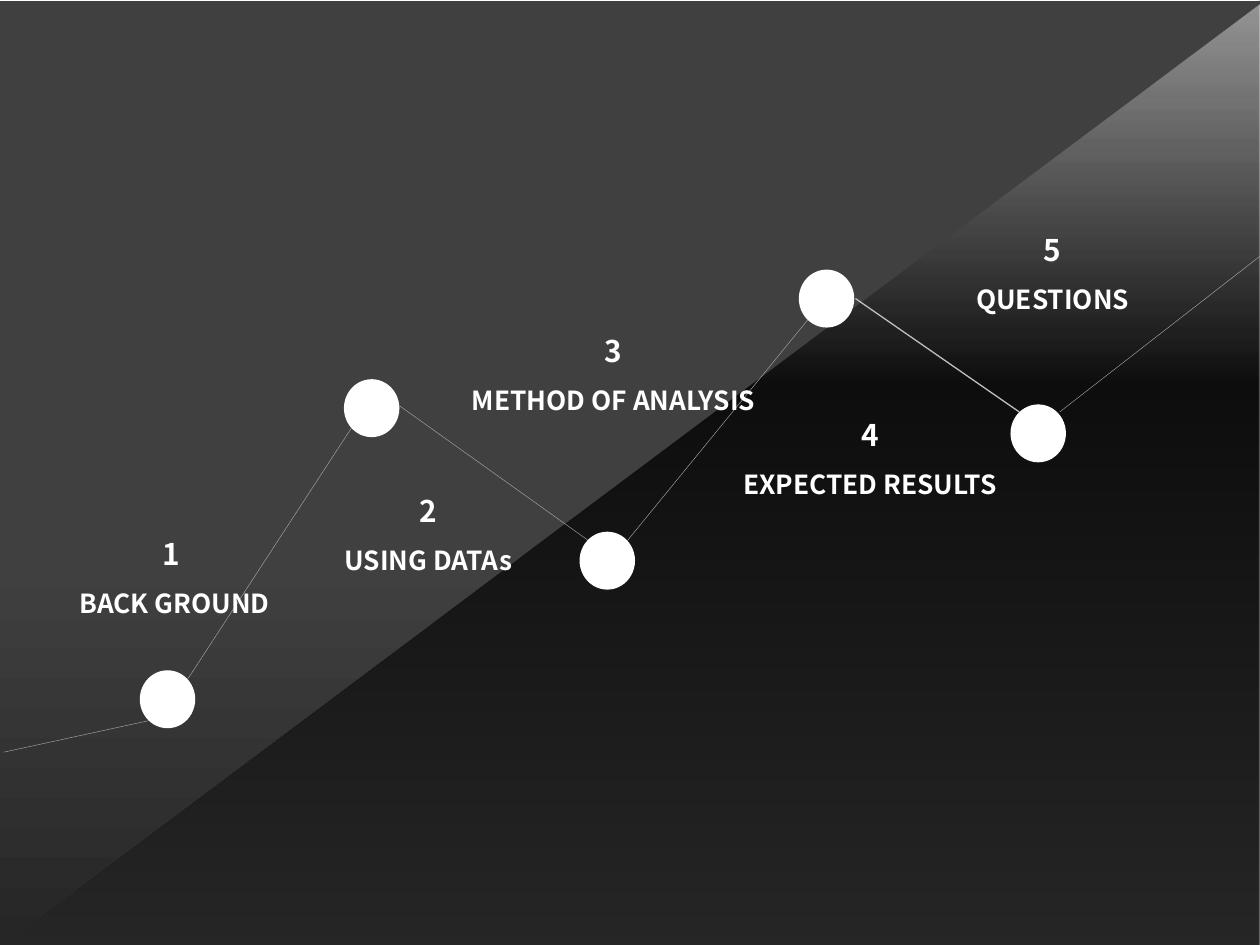
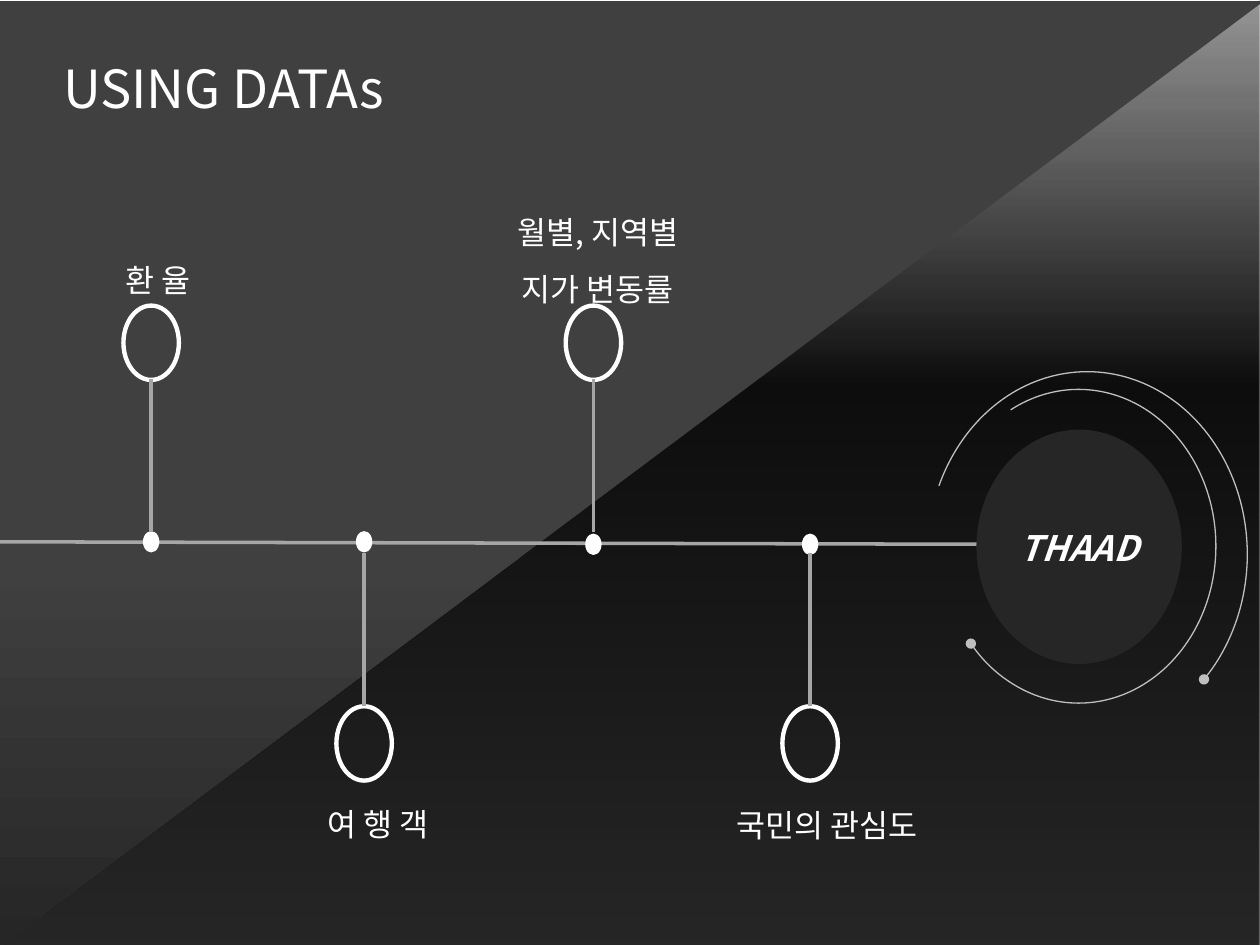
"""Build an agenda path slide and a data timeline slide on a shared diagonal backdrop."""
from copy import deepcopy
from dataclasses import dataclass

from lxml.etree import SubElement
from pptx import Presentation
from pptx.dml.color import RGBColor
from pptx.enum.shapes import MSO_CONNECTOR, MSO_SHAPE
from pptx.enum.text import MSO_ANCHOR, MSO_AUTO_SIZE, PP_ALIGN
from pptx.oxml.ns import qn
from pptx.util import Inches, Pt


@dataclass(frozen=True)
class Theme:
    font: str = "Noto Sans CJK KR"
    white: str = "FFFFFF"
    line: str = "A6A6A6"
    bright_line: str = "BFBFBF"
    charcoal: str = "262626"
    slate: str = "404040"
    black: str = "0D0D0D"
    title: int = 30
    topic: int = 20
    label: int = 18
    number: int = 17
    heading: int = 15


THEME = Theme()

BACKDROP = [
    ((1.24, -1.26, 7.5, 10.03), 270,
     [(0, THEME.charcoal, 100), (59, THEME.black, 100), (100, THEME.black, 43)]),
    ((1.26, -1.26, 7.51, 10.04), 90,
     [(0, THEME.slate, 100), (59, THEME.slate, 100), (100, THEME.charcoal, 100)]),
]

AGENDA = [
    ("1 ", "BACK GROUND", (0.22, 4.06, 2.23, 0.91)),
    ("2", "USING DATAs", (2.33, 3.72, 2.04, 0.86)),
    ("3", "METHOD OF ANALYSIS", (3.49, 2.45, 2.66, 1.29)),
    ("4", "EXPECTED RESULTS", (5.54, 3.12, 2.63, 1.29)),
    ("5", "QUESTIONS", (7.39, 1.65, 1.83, 0.91)),
]
PATH_NODES = [(1.33, 5.55), (2.95, 3.24), (4.82, 4.45), (6.56, 2.37), (8.24, 3.44)]
NODE_SIZE = (0.44, 0.46)
PATH_LINES = [
    ((0.03, 5.97), (1.18, 5.72), THEME.line, 0.25),
    ((1.49, 5.39), (2.8, 3.38), THEME.line, 0.25),
    ((3.17, 3.22), (4.67, 4.29), THEME.line, 0.25),
    ((4.98, 4.29), (6.41, 2.54), THEME.line, 0.25),
    ((6.79, 2.37), (8.09, 3.27), THEME.bright_line, 0.75),
    ((8.41, 3.27), (10.03, 2.01), THEME.line, 0.25),
]

DATA_TITLE = "USING DATAs"
DATA_TOPIC = "THAAD"
STATIONS = [
    (["환 율"], 1.2, 4.3, True, (0.7, 1.87, 1.01, 0.5)),
    (["여 행 객"], 2.89, 4.3, False, (2.24, 6.19, 1.42, 0.56)),
    (["월별, 지역별", "지가 변동률"], 4.71, 4.32, True, (3.74, 1.49, 1.91, 1.01)),
    (["국민의 관심도"], 6.43, 4.32, False, (5.39, 6.2, 2.24, 0.5)),
]
AXIS = ((0, 4.3), (7.87, 4.32))
DOT_SIZE = (0.13, 0.17)
RING_SIZE = (0.44, 0.59)
UPPER_RING_Y, LOWER_RING_Y = 2.72, 5.9
UPPER_STEM, LOWER_STEM = (4.22, 3.01), (4.39, 5.6)
ORBITS = [
    ((7.47, 3.09, 2.18, 2.49), (146.125, 82.73)),
    ((7.36, 2.95, 2.54, 2.9), (122.881, 28.187)),
]


def inches(values):
    return [Inches(value) for value in values]


def centered(x, y, size):
    width, height = size
    return x - width / 2, y - height / 2, width, height


def add_figure(slide, kind, box, fill=None, outline=None, weight=0):
    figure = slide.shapes.add_shape(kind, *inches(box))
    figure.shadow.inherit = False
    if fill:
        figure.fill.solid()
        figure.fill.fore_color.rgb = RGBColor.from_string(fill)
    else:
        figure.fill.background()
    if outline:
        figure.line.color.rgb = RGBColor.from_string(outline)
        figure.line.width = Pt(weight)
    else:
        figure.line.fill.background()
    return figure


def add_line(slide, start, end, color, weight):
    line = slide.shapes.add_connector(MSO_CONNECTOR.STRAIGHT, *inches(start + end))
    line.line.color.rgb = RGBColor.from_string(color)
    line.line.width = Pt(weight)
    SubElement(line._element.spPr, qn("a:effectLst"))


def style(paragraph, size, bold=False, italic=False):
    for run in paragraph.runs:
        font = run.font
        font.name, font.size = THEME.font, Pt(size)
        font.bold, font.italic = bold, italic
        font.color.rgb = RGBColor.from_string(THEME.white)
        SubElement(run._r.get_or_add_rPr(), qn("a:ea"), typeface=THEME.font)


def add_label(slide, lines, sizes, box, bold=False, italic=False, margin=0.1):
    label = slide.shapes.add_textbox(*inches(box))
    frame = label.text_frame
    frame.word_wrap = True
    frame.auto_size = MSO_AUTO_SIZE.SHAPE_TO_FIT_TEXT
    frame.text = "\n".join(lines)
    for paragraph, size in zip(frame.paragraphs, sizes):
        paragraph.alignment = PP_ALIGN.CENTER
        paragraph.line_spacing = 1.5
        properties = paragraph._p.get_or_add_pPr()
        properties.set("marL", str(Inches(margin)))
        properties.set("indent", "0")
        style(paragraph, size, bold, italic)


def add_backdrop(slide):
    for box, rotation, stops in BACKDROP:
        triangle = add_figure(slide, MSO_SHAPE.RIGHT_TRIANGLE, box)
        triangle.rotation = rotation
        triangle.fill.gradient()
        triangle.fill.gradient_angle = 0
        stop_list = triangle._element.spPr.find(".//" + qn("a:gsLst"))
        template = deepcopy(stop_list[0])
        for stop in list(stop_list):
            stop_list.remove(stop)
        for position, color, opacity in stops:
            stop = deepcopy(template)
            stop.set("pos", str(position * 1000))
            stop.remove(stop[0])
            tint = SubElement(stop, qn("a:srgbClr"), val=color)
            if opacity < 100:
                SubElement(tint, qn("a:alpha"), val=str(opacity * 1000))
            stop_list.append(stop)


def add_title(slide, text):
    title = slide.shapes.title
    title.left, title.top, title.width, title.height = inches((0.4, 0.39, 4.68, 0.61))
    frame = title.text_frame
    frame.text = text
    frame.auto_size = MSO_AUTO_SIZE.NONE
    frame.vertical_anchor = MSO_ANCHOR.MIDDLE
    frame.paragraphs[0].alignment = PP_ALIGN.LEFT
    style(frame.paragraphs[0], THEME.title)
    slide.shapes._spTree.append(title._element)


def build_agenda(deck):
    slide = deck.slides.add_slide(deck.slide_layouts[6])
    add_backdrop(slide)
    for path_line in PATH_LINES:
        add_line(slide, *path_line)
    for number, heading, box in AGENDA:
        add_label(slide, [number, heading], [THEME.number, THEME.heading], box, bold=True)
    for x, y in PATH_NODES:
        add_figure(slide, MSO_SHAPE.OVAL, centered(x, y, NODE_SIZE), THEME.white)


def build_data(deck):
    slide = deck.slides.add_slide(deck.slide_layouts[5])
    add_backdrop(slide)
    add_title(slide, DATA_TITLE)
    add_line(slide, *AXIS, THEME.line, 2)
    for lines, x, dot_y, above, box in STATIONS:
        ring_y = UPPER_RING_Y if above else LOWER_RING_Y
        stem_start, stem_end = UPPER_STEM if above else LOWER_STEM
        add_figure(slide, MSO_SHAPE.OVAL, centered(x, dot_y, DOT_SIZE), THEME.white)
        add_figure(slide, MSO_SHAPE.OVAL, centered(x, ring_y, RING_SIZE),
                   outline=THEME.white, weight=2.5)
        add_line(slide, (x, stem_start), (x, stem_end), THEME.line, 2)
        add_label(slide, lines, [THEME.label] * len(lines), box)
    add_figure(slide, MSO_SHAPE.OVAL, (7.75, 3.41, 1.63, 1.86), THEME.charcoal)
    add_label(slide, [DATA_TOPIC], [THEME.topic], (7.75, 3.96, 1.63, 0.54),
              bold=True, italic=True, margin=0)
    for box, angles in ORBITS:
        orbit = add_figure(slide, MSO_SHAPE.ARC, box, outline=THEME.bright_line, weight=0.75)
        orbit.adjustments[0], orbit.adjustments[1] = angles
        SubElement(orbit.line._get_or_add_ln(), qn("a:tailEnd"), type="oval")


def main():
    deck = Presentation()
    deck.slide_width, deck.slide_height = Inches(10), Inches(7.5)
    build_agenda(deck)
    build_data(deck)
    deck.save("out.pptx")


if __name__ == "__main__":
    main()
